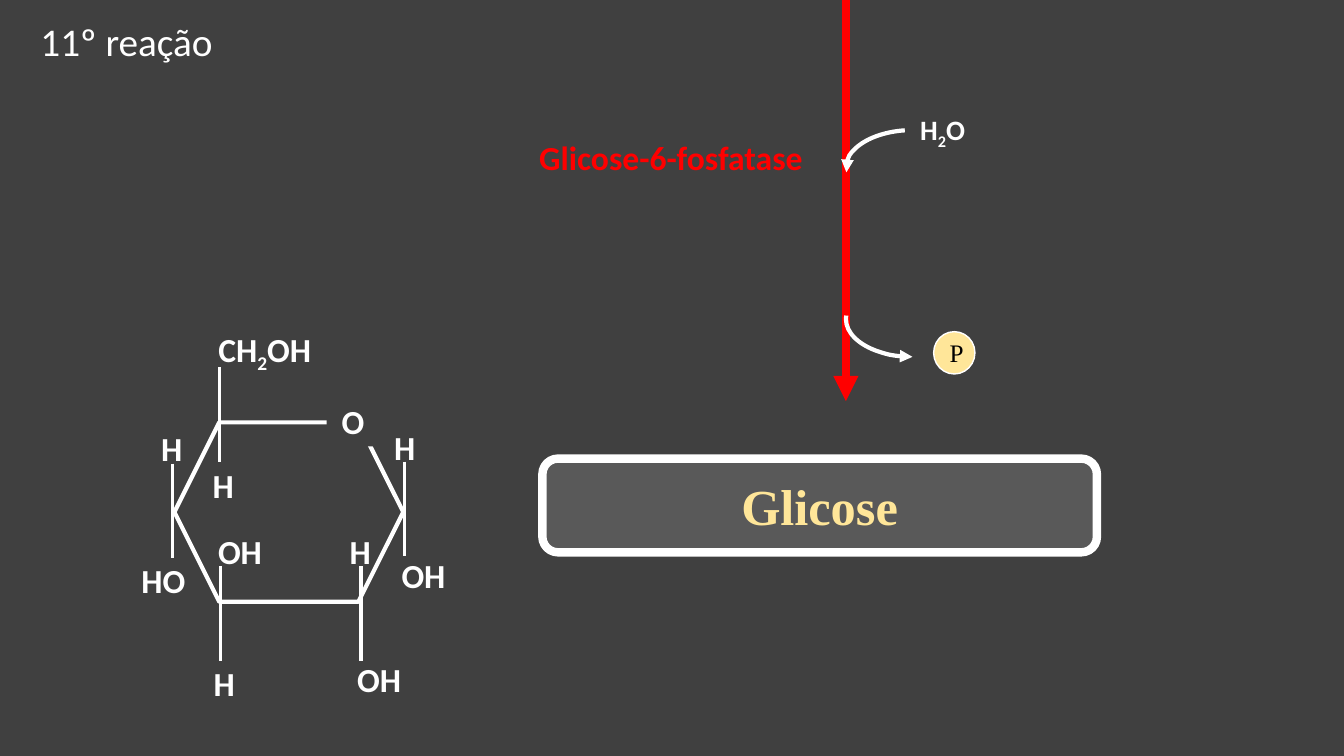
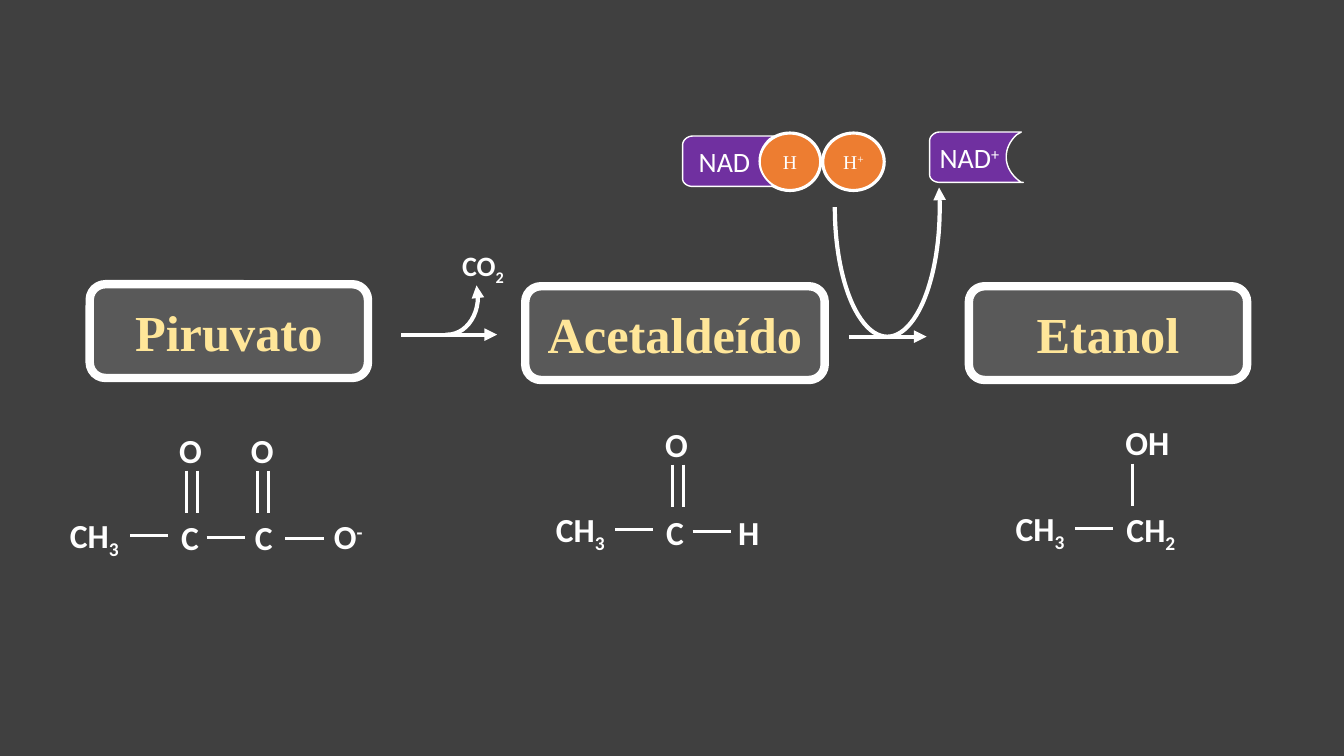
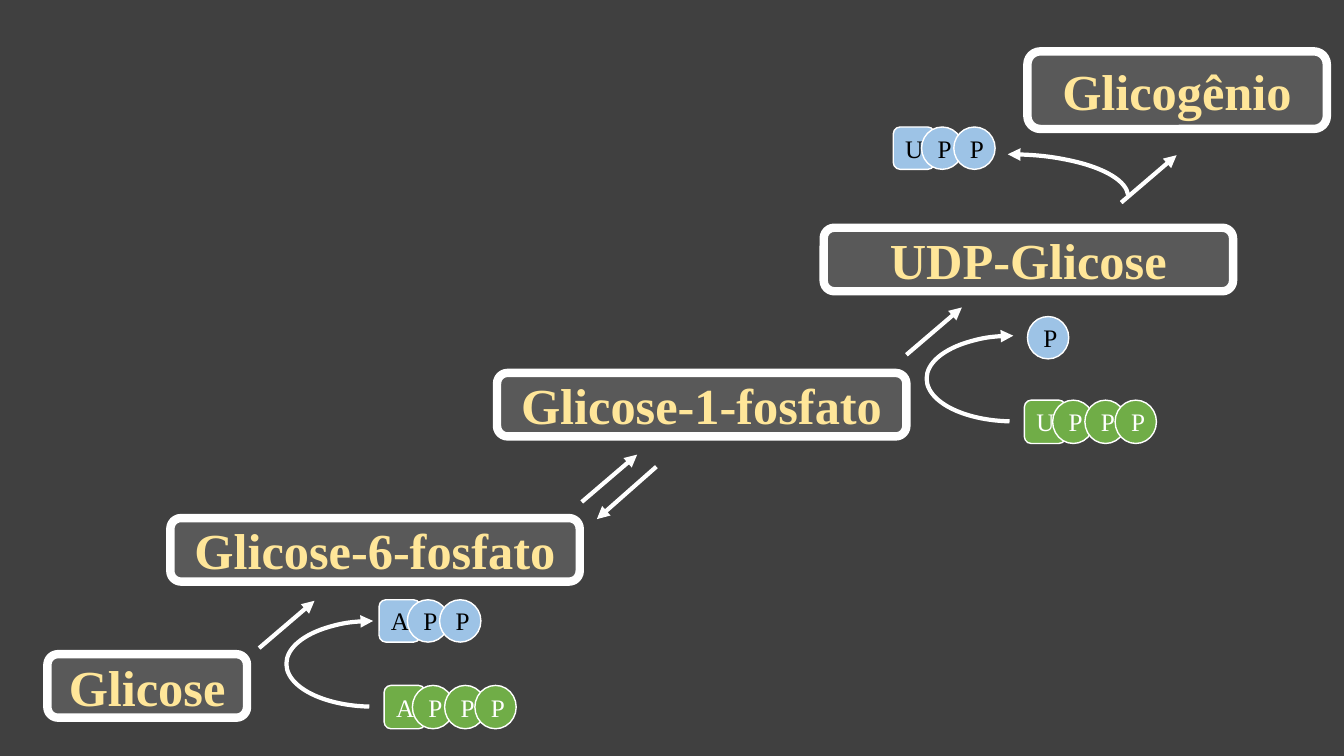
"""Build three slides on glucose, ethanol and glycogen pathways."""
from dataclasses import dataclass

from lxml import etree
from pptx import Presentation
from pptx.dml.color import RGBColor
from pptx.enum.shapes import MSO_CONNECTOR, MSO_SHAPE
from pptx.enum.text import MSO_ANCHOR, MSO_AUTO_SIZE, PP_ALIGN
from pptx.oxml.ns import qn
from pptx.util import Emu, Pt

EMU_PER_PX = 9144
COLORS = {
    "background": "404040", "plate": "595959", "white": "FFFFFF", "black": "000000",
    "cream": "FFE699", "red": "FF0000", "orange": "ED7D31", "purple": "7030A0",
    "green": "70AD47", "blue": "9DC3E6",
}
SANS, SERIF = "Calibri", "Times New Roman"
STRAIGHT = MSO_CONNECTOR.STRAIGHT
ARC, ELLIPSE, HEXAGON = MSO_SHAPE.ARC, MSO_SHAPE.OVAL, MSO_SHAPE.HEXAGON
ROUNDED = MSO_SHAPE.ROUNDED_RECTANGLE
MIDDLE, TOP = MSO_ANCHOR.MIDDLE, MSO_ANCHOR.TOP
CENTER, LEFT = PP_ALIGN.CENTER, PP_ALIGN.LEFT
GROW = MSO_AUTO_SIZE.SHAPE_TO_FIT_TEXT
BASELINES = {"_": "-25000", "^": "30000"}
TOKEN_OFFSETS = (0, 28, 60, 90)
DOUBLE_BOND_GAP = 11


@dataclass(frozen=True)
class Box:
    left: int
    top: int
    width: int
    height: int


@dataclass(frozen=True)
class Label:
    text: str
    left: int
    top: int
    width: int
    height: int = 50
    size: int = 24
    color: str = "white"
    bold: bool = True
    fill: str = ""


@dataclass(frozen=True)
class Line:
    x1: int
    y1: int
    x2: int
    y2: int
    weight: float = 2.25
    color: str = "white"
    arrow: bool = False


@dataclass(frozen=True)
class Curve:
    box: Box
    start: float
    end: float
    flip: str = ""


@dataclass(frozen=True)
class Plate:
    text: str
    box: Box


@dataclass(frozen=True)
class Chain:
    letters: str
    left: int
    top: int
    fill: str
    ink: str
    height: int


def px(length: float) -> Emu:
    return Emu(round(length * EMU_PER_PX))


def place(box: Box) -> tuple:
    return px(box.left), px(box.top), px(box.width), px(box.height)


def rgb(name: str) -> RGBColor:
    return RGBColor.from_string(COLORS[name])


def bond(x: int, y: int, right: int = 0, down: int = 0) -> Line:
    return Line(x, y, x + right, y + down)


def double_bond(x: int, y: int) -> list:
    return [bond(x + shift, y, down=42) for shift in (0, DOUBLE_BOND_GAP)]


def arrow(x1: int, y1: int, x2: int, y2: int) -> Line:
    return Line(x1, y1, x2, y2, weight=3, arrow=True)


def add_arrowhead(shape, end: str) -> None:
    outline = shape.element.spPr.find(qn("a:ln"))
    etree.SubElement(outline, qn(f"a:{end}")).set("type", "triangle")


def paint(shape, fill: str = "", line: str = "white", weight: float = 1) -> None:
    shape.shadow.inherit = False
    if fill:
        shape.fill.solid()
        shape.fill.fore_color.rgb = rgb(fill)
    else:
        shape.fill.background()
    if line:
        shape.line.color.rgb = rgb(line)
        shape.line.width = Pt(weight)
    else:
        shape.line.fill.background()


def write(shape, text: str, *, size: int, color: str, font: str = SANS, bold: bool = False,
          align=CENTER, anchor=MIDDLE) -> None:
    """Write text whose parts, split by |, may open with _ (subscript) or ^ (superscript)."""
    frame = shape.text_frame
    frame.word_wrap = True
    frame.vertical_anchor = anchor
    para = frame.paragraphs[0]
    para.alignment = align
    parts = text.split("|")
    for part in parts:
        span = para.add_run()
        span.text = part.lstrip("_^")
        span.font.size = Pt(size)
        span.font.name = font
        span.font.bold = bold
        span.font.color.rgb = rgb(color)
    for part, properties in zip(parts, shape.element.iter(qn("a:rPr"))):
        if part[0] in BASELINES:
            properties.set("baseline", BASELINES[part[0]])


def draw_label(page, label: Label) -> None:
    box = Box(label.left, label.top, label.width, label.height)
    shape = page.shapes.add_textbox(*place(box))
    if label.fill:
        paint(shape, label.fill, line="")
    write(shape, label.text, size=label.size, color=label.color, bold=label.bold, anchor=TOP)
    shape.text_frame.auto_size = GROW


def draw_line(page, line: Line) -> None:
    connector = page.shapes.add_connector(
        STRAIGHT, px(line.x1), px(line.y1), px(line.x2), px(line.y2))
    connector.line.color.rgb = rgb(line.color)
    connector.line.width = Pt(line.weight)
    if line.arrow:
        add_arrowhead(connector, "tailEnd")
    etree.SubElement(connector.element.spPr, qn("a:effectLst"))


def draw_curve(page, curve: Curve) -> None:
    shape = page.shapes.add_shape(ARC, *place(curve.box))
    shape.rotation = 180
    for axis in curve.flip:
        shape.element.spPr.xfrm.set(f"flip{axis}", "1")
    for index, degrees in enumerate((curve.start, curve.end)):
        shape.adjustments[index] = degrees * 0.6
    paint(shape, weight=3)
    add_arrowhead(shape, "headEnd")


def draw_plate(page, plate: Plate) -> None:
    shape = page.shapes.add_shape(ROUNDED, *place(plate.box))
    paint(shape, "plate", weight=6)
    write(shape, plate.text, size=36, color="cream", font=SERIF, bold=True)


def draw_token(shapes, text: str, box: Box, *, fill: str, ink: str, kind=ELLIPSE,
               size: int = 18, weight: float = 1) -> None:
    shape = shapes.add_shape(kind, *place(box))
    paint(shape, fill, weight=weight)
    write(shape, text, size=size, color=ink, font=SERIF)


def draw_chain(page, chain: Chain) -> None:
    group = page.shapes.add_group_shape()
    for index, (letter, offset) in enumerate(zip(chain.letters, TOKEN_OFFSETS)):
        draw_token(group.shapes, letter, Box(chain.left + offset, chain.top, 41, chain.height),
                   fill=chain.fill, ink=chain.ink, kind=ELLIPSE if index else ROUNDED)


def bezier(*controls: tuple, steps: int = 8) -> list:
    points = []
    for step in range(1, steps + 1):
        t = step / steps
        weights = ((1 - t) ** 3, 3 * t * (1 - t) ** 2, 3 * t * t * (1 - t), t ** 3)
        points.append(tuple(sum(w * c[axis] for w, c in zip(weights, controls))
                            for axis in (0, 1)))
    return points


def draw_carrier(page, text: str, left: int, top: int, inset: int) -> None:
    outline = [
        (10, 0), (91, 0), (86, 3),
        *bezier((86, 3), (80, 9), (76, 16), (76, 25)),
        *bezier((76, 25), (76, 35), (82, 44), (91, 50)),
        (93, 50), (10, 50),
        *bezier((10, 50), (5, 50), (0, 47), (0, 42)),
        (0, 9),
        *bezier((0, 9), (0, 4), (5, 0), (10, 0)),
    ]
    points = [(px(left + x), px(top + y)) for x, y in outline]
    builder = page.shapes.build_freeform(*points[0], scale=1.0)
    builder.add_line_segments(points[1:], close=True)
    shape = builder.convert_to_shape()
    paint(shape, "purple")
    write(shape, text, size=20, color="white", align=LEFT)
    shape.text_frame.margin_left = px(inset)


def new_page(deck):
    page = deck.slides.add_slide(deck.slide_layouts[6])
    page.background.fill.solid()
    page.background.fill.fore_color.rgb = rgb("background")
    return page


def draw_all(page, items: list) -> None:
    painters = {Label: draw_label, Line: draw_line, Curve: draw_curve,
                Plate: draw_plate, Chain: draw_chain}
    for item in items:
        painters[type(item)](page, item)


def build_glucose(deck) -> None:
    page = new_page(deck)
    ring = page.shapes.add_shape(HEXAGON, *place(Box(173, 419, 227, 178)))
    paint(ring, weight=3)
    draw_all(page, [
        Plate("Glicose", Box(538, 455, 550, 93)),
        Line(839, -136, 839, 398, weight=6, color="red", arrow=True),
        Label("11º reação", 2, 12, 247, 57, size=28, bold=False),
        Label("O", 324, 393, 52, fill="background"),
        *[bond(x, y, down=94) for x, y in
          ((219, 562), (358, 562), (401, 458), (171, 460), (218, 364))],
        *[Label("OH", x, y, 72) for x, y in ((202, 522), (340, 649), (384, 546))],
        *[Label("H", x, y, 39) for x, y in
          ((202, 653), (337, 522), (381, 419), (150, 420), (201, 456))],
        Label("HO", 126, 551, 72),
        Label("CH|_2|OH", 188, 321, 149),
        Label("Glicose-6-fosfatase", 494, 131, 343, color="red"),
        Curve(Box(839, 279, 132, 75), 270, 2.99),
        Curve(Box(839, 129, 132, 75), 356.2, 78.44),
        Label("H|_2|O", 883, 107, 104, 44, size=20),
    ])
    draw_token(page.shapes, "P", Box(926, 329, 41, 42), fill="cream", ink="black")


def build_ethanol(deck) -> None:
    page = new_page(deck)
    draw_all(page, [
        Plate("Piruvato", Box(89, 282, 276, 93)),
        Plate("Acetaldeído", Box(521, 284, 297, 93)),
        Plate("Etanol", Box(961, 284, 276, 93)),
        *[Label("CH|_3", x, y, 87) for x, y in ((50, 506), (532, 500), (988, 499))],
        *[Label("O", x, y, 52) for x, y in ((163, 422), (234, 422), (645, 416))],
        *[Label("C", x, y, w) for x, y, w in ((151, 508, 75), (236, 508, 51), (632, 503, 75))],
        Label("O|^-", 316, 507, 59),
        Label("H", 717, 503, 51),
        Label("OH", 1095, 414, 86),
        Label("CH|_2", 1098, 500, 87),
        *[bond(x, y, right=38) for x, y in
          ((129, 531), (205, 533), (283, 534), (610, 525), (687, 527), (1066, 524))],
        *double_bond(185, 467),
        *double_bond(255, 467),
        *double_bond(667, 461),
        bond(1123, 460, down=42),
        arrow(398, 332, 493, 332),
        arrow(842, 334, 919, 334),
        Curve(Box(413, 257, 61, 75), 158.71, 272.77),
        Label("CO|_2", 427, 242, 104, 44, size=20),
        Curve(Box(828, 78, 104, 256), 158.71, 0.62),
    ])
    for text, left in (("H", 753), ("H|^+", 816)):
        draw_token(page.shapes, text, Box(left, 132, 61, 57), fill="orange", ink="white",
                   size=14, weight=2.25)
    draw_carrier(page, "NAD", 677, 135, inset=16)
    draw_carrier(page, "NAD|^+", 922, 131, inset=10)


def build_glycogen(deck) -> None:
    page = new_page(deck)
    steps = ("Glicose-6-fosfato", "Glicose-1-fosfato", "UDP-Glicose")
    draw_all(page, [
        Plate("Glicose", Box(47, 649, 198, 63)),
        *[Plate(text, Box(169 + 324 * index, 514 - 144 * index, 406, 63))
          for index, text in enumerate(steps)],
        Plate("Glicogênio", Box(1019, 51, 297, 77)),
        *[arrow(x, y, x + 55, y - 47) for x, y in
          ((257, 643), (577, 498), (899, 352), (1112, 201))],
        arrow(651, 463, 592, 515),
        Chain("APPP", 381, 680, "green", "white", 43),
        Chain("APP", 376, 595, "blue", "black", 42),
        Curve(Box(284, 616, 172, 85), 270, 84.96, flip="V"),
        Chain("UPPP", 1016, 397, "green", "white", 43),
        Curve(Box(919, 333, 172, 85), 270, 84.96, flip="V"),
        Chain("UPP", 886, 126, "blue", "black", 42),
        Curve(Box(880, 153, 239, 85), 270, 359.06, flip="HV"),
    ])
    draw_token(page.shapes, "P", Box(1019, 314, 41, 42), fill="blue", ink="black")


def main() -> None:
    deck = Presentation()
    deck.slide_width, deck.slide_height = px(1333), px(750)
    for build in (build_glucose, build_ethanol, build_glycogen):
        build(deck)
    deck.save("out.pptx")


if __name__ == "__main__":
    main()
